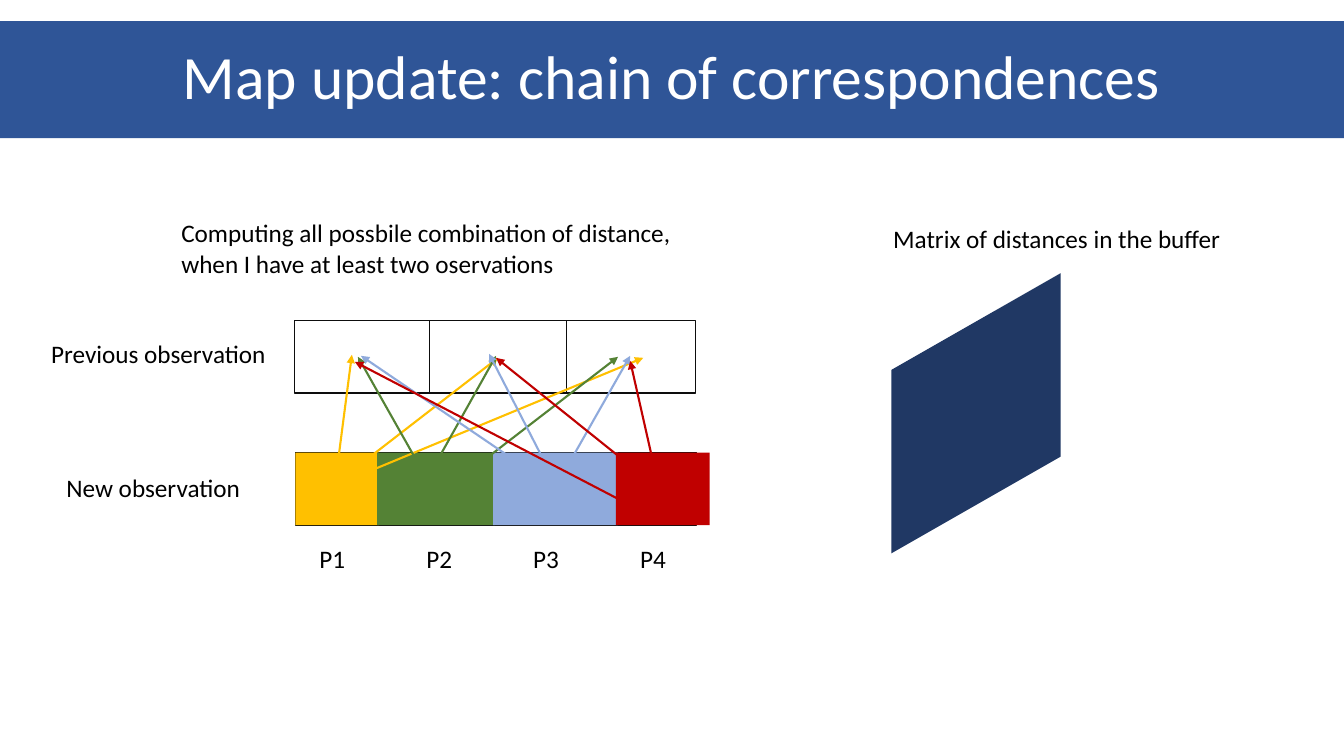
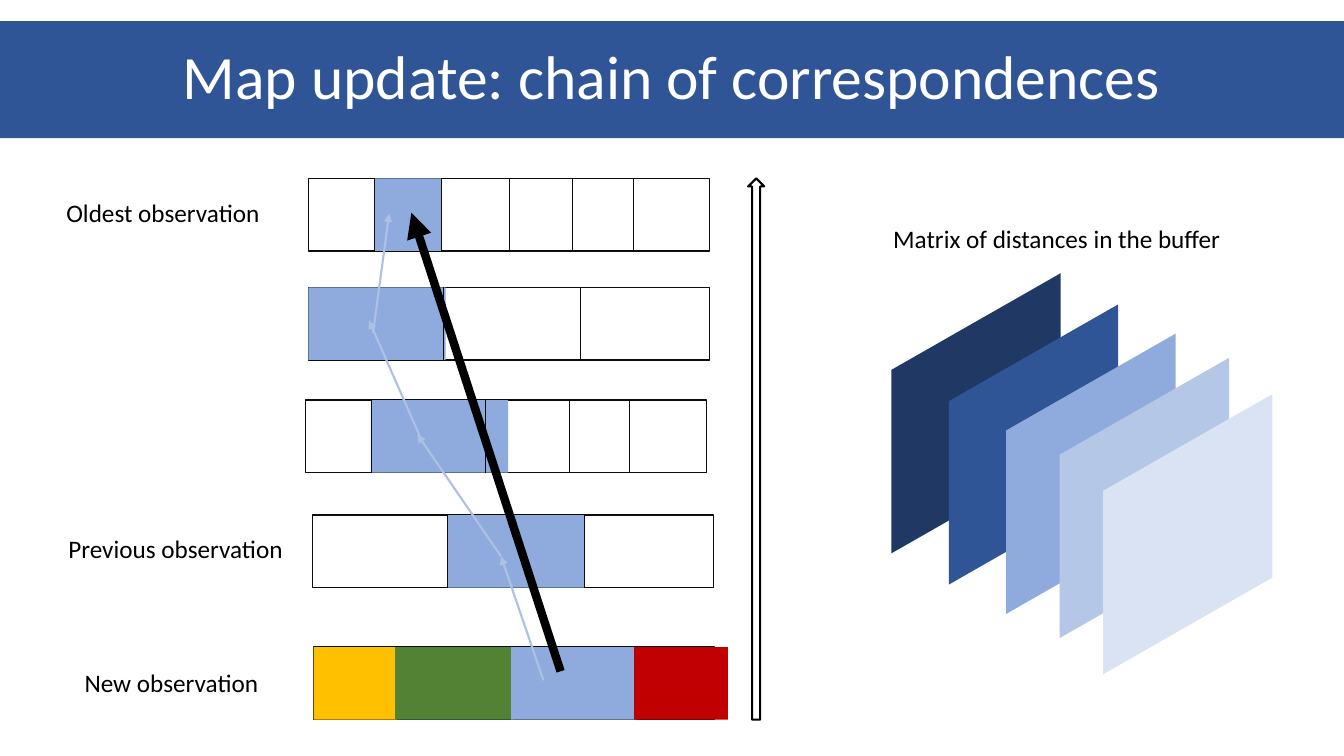
import pptx
import pptx.dml.color
import pptx.enum.shapes
import pptx.enum.text
import pptx.oxml.ns
import pptx.util
import lxml.etree

# Theme
THEME = {
    "font": "Calibri", "title size": 44, "body size": 18,
    "band": "2F5597", "white": "FFFFFF", "black": "000000", "outline": "0D0D0D",
    "yellow": "FFC000", "green": "548235", "blue": "8FAADC", "red": "C00000",
    "pale blue": "ADC1E5",
    "sheets": ["203864", "2F5597", "8FAADC", "B4C7E7", "DAE3F3"],
}
TITLE = "Map update: chain of correspondences"

# Grid: 13.33 columns by 7.5 rows of square cells
presentation = pptx.Presentation()
presentation.slide_width = pptx.util.Inches(13.33)
presentation.slide_height = pptx.util.Inches(7.5)
CELL = presentation.slide_height / 7.5
ROW_WIDTH, ROW_HEIGHT = 3.98, 0.72
SHEET_WIDTH, SHEET_HEIGHT, SHEET_SLANT = 1.68, 1.82, 0.96


def grid(*lengths):
    return [round(length * CELL) for length in lengths]


def add_text(frame, text, size=THEME["body size"], color=THEME["black"],
             align=pptx.enum.text.PP_ALIGN.LEFT, spacing=1.0):
    frame.word_wrap = True
    frame.auto_size = pptx.enum.text.MSO_AUTO_SIZE.NONE
    paragraph = frame.paragraphs[0]
    paragraph.alignment = align
    paragraph.line_spacing = spacing
    run = paragraph.add_run()
    run.text = text
    run.font.name = THEME["font"]
    run.font.size = pptx.util.Pt(size)
    run.font.color.rgb = pptx.dml.color.RGBColor.from_string(color)


# Observation rows: left, top, divider offsets, blocks as (offset, width, color)
halves = [1.34, 2.7]
new_dividers = [0.81, 1.99, 3.21]
new_blocks = [(0, 0.83, "yellow"), (0.81, 1.17, "green"),
              (1.96, 1.24, "blue"), (3.18, 0.93, "red")]

# Arrows: color, width in points, start, end
fan = {
    "yellow": [((3.32, 4.83), (3.49, 3.52)), ((3.26, 4.85), (4.94, 3.55)),
               ((3.24, 4.85), (6.38, 3.55))],
    "green": [((4.29, 4.85), (3.55, 3.54)), ((4.18, 4.85), (4.92, 3.53)),
              ((4.34, 4.92), (6.13, 3.54))],
    "blue": [((5.42, 4.78), (3.58, 3.53)), ((5.59, 4.95), (4.85, 3.51)),
             ((5.54, 4.78), (6.25, 3.53))],
    "red": [((6.17, 4.97), (3.52, 3.59)), ((6.54, 4.85), (4.92, 3.55)),
            ((6.49, 4.64), (6.25, 3.58))],
}
chain = [((5.39, 6.75), (4.97, 5.52)), ((4.97, 5.52), (4.14, 4.31)),
         ((4.17, 4.34), (3.66, 3.18)), ((3.7, 3.3), (3.86, 2.12))]
matrix_label = ("Matrix of distances in the buffer", 8.76, 2.17, 3.78, 0.4)

SLIDES = [
    {
        "sheets": [(8.84, 2.71)],
        "rows": [(2.93, 4.49, new_dividers, new_blocks), (2.92, 3.18, halves, [])],
        "arrows": [(color, 1.5, start, end)
                   for color, pairs in fan.items() for start, end in pairs],
        "labels": [
            matrix_label,
            ("New observation", 0.56, 4.64, 2.29, 0.4),
            ("Previous observation", 0.41, 3.31, 2.47, 0.4),
            ("Computing all possbile combination of distance, "
             "when I have at least two oservations", 1.7, 2.11, 5.26, 0.71),
        ] + [(f"P{number + 1}", 3.07 + 1.06 * number, 5.34, 0.6, 0.4)
             for number in range(4)],
    },
    {
        "sheets": [(8.84, 2.71), (9.41, 3.02), (9.98, 3.31), (10.51, 3.55), (10.94, 3.91)],
        "rows": [
            (3.11, 6.42, new_dividers, new_blocks),
            (3.1, 5.11, halves, [(1.34, 1.36, "blue")]),
            (3.03, 3.97, [0.65, 1.78, 2.62, 3.21], [(0.65, 1.36, "blue")]),
            (3.06, 2.85, halves, [(0, 1.36, "blue")]),
            (3.06, 1.77, [0.65, 1.32, 1.99, 2.62, 3.22], [(0.65, 0.67, "blue")]),
        ],
        "arrows": [("black", 6, (5.56, 6.66), (4.08, 2.11))]
        + [("pale blue", 1.5, start, end) for start, end in chain],
        "labels": [
            matrix_label,
            ("New observation", 0.74, 6.57, 2.29, 0.4),
            ("Previous observation", 0.58, 5.24, 2.47, 0.4),
            ("Oldest observation", 0.56, 1.91, 2.47, 0.4),
        ],
        "time arrow": (7.42, 1.77, 0.16, 5.37),
    },
]

for content in SLIDES:
    slide = presentation.slides.add_slide(presentation.slide_layouts[5])

    # Title band
    title = slide.shapes.title
    title.left, title.top, title.width, title.height = grid(0, 0.21, 13.33, 1.16)
    title.fill.solid()
    title.fill.fore_color.rgb = pptx.dml.color.RGBColor.from_string(THEME["band"])
    title.text_frame.vertical_anchor = pptx.enum.text.MSO_ANCHOR.MIDDLE
    add_text(title.text_frame, TITLE, size=THEME["title size"], color=THEME["white"],
             align=pptx.enum.text.PP_ALIGN.CENTER, spacing=0.9)

    # Slanted matrix sheets
    for (left, top), color in zip(content["sheets"], THEME["sheets"]):
        right, upper_left = left + SHEET_WIDTH, top + SHEET_SLANT
        outline = slide.shapes.build_freeform(*grid(left, upper_left))
        outline.add_line_segments([
            grid(right, top), grid(right, top + SHEET_HEIGHT),
            grid(left, upper_left + SHEET_HEIGHT)], close=True)
        sheet = outline.convert_to_shape()
        sheet.shadow.inherit = False
        sheet.fill.solid()
        sheet.fill.fore_color.rgb = pptx.dml.color.RGBColor.from_string(color)
        sheet.line.fill.background()

    # Boxes as (place, fill, line color, line width), and lines between points
    boxes, lines = [], []
    for left, top, dividers, blocks in content["rows"]:
        boxes.append(((left, top, ROW_WIDTH, ROW_HEIGHT), "white", "outline", 1))
        boxes += [((left + offset, top, width, ROW_HEIGHT), color, None, 0)
                  for offset, width, color in blocks]
        covered = [edge for offset, width, color in blocks
                   for edge in (offset, offset + width)]
        if blocks is not new_blocks:
            lines += [("outline", 0.5, (left + offset, top + ROW_HEIGHT),
                       (left + offset, top), False) for offset in dividers]
    lines += [(*arrow, True) for arrow in content["arrows"]]
    shapes = [(pptx.enum.shapes.MSO_SHAPE.RECTANGLE, *box) for box in boxes]
    if "time arrow" in content:
        shapes.append((pptx.enum.shapes.MSO_SHAPE.UP_ARROW, content["time arrow"],
                       "white", "black", 1.5))

    for kind, place, fill, line_color, line_width in shapes:
        shape = slide.shapes.add_shape(kind, *grid(*place))
        shape.shadow.inherit = False
        shape.fill.solid()
        shape.fill.fore_color.rgb = pptx.dml.color.RGBColor.from_string(THEME[fill])
        if line_color:
            shape.line.color.rgb = pptx.dml.color.RGBColor.from_string(THEME[line_color])
            shape.line.width = pptx.util.Pt(line_width)
        else:
            shape.line.fill.background()

    # Dividers and arrows
    for color, width, start, end, has_head in lines:
        connector = slide.shapes.add_connector(
            pptx.enum.shapes.MSO_CONNECTOR.STRAIGHT, *grid(*start, *end))
        connector.line.color.rgb = pptx.dml.color.RGBColor.from_string(THEME[color])
        connector.line.width = pptx.util.Pt(width)
        properties = connector.line._get_or_add_ln()
        if has_head:
            lxml.etree.SubElement(properties, pptx.oxml.ns.qn("a:tailEnd"), type="triangle")
        lxml.etree.SubElement(connector._element.spPr, pptx.oxml.ns.qn("a:effectLst"))

    # Labels
    for text, *place in content["labels"]:
        label = slide.shapes.add_textbox(*grid(*place))
        add_text(label.text_frame, text)

presentation.save("out.pptx")
